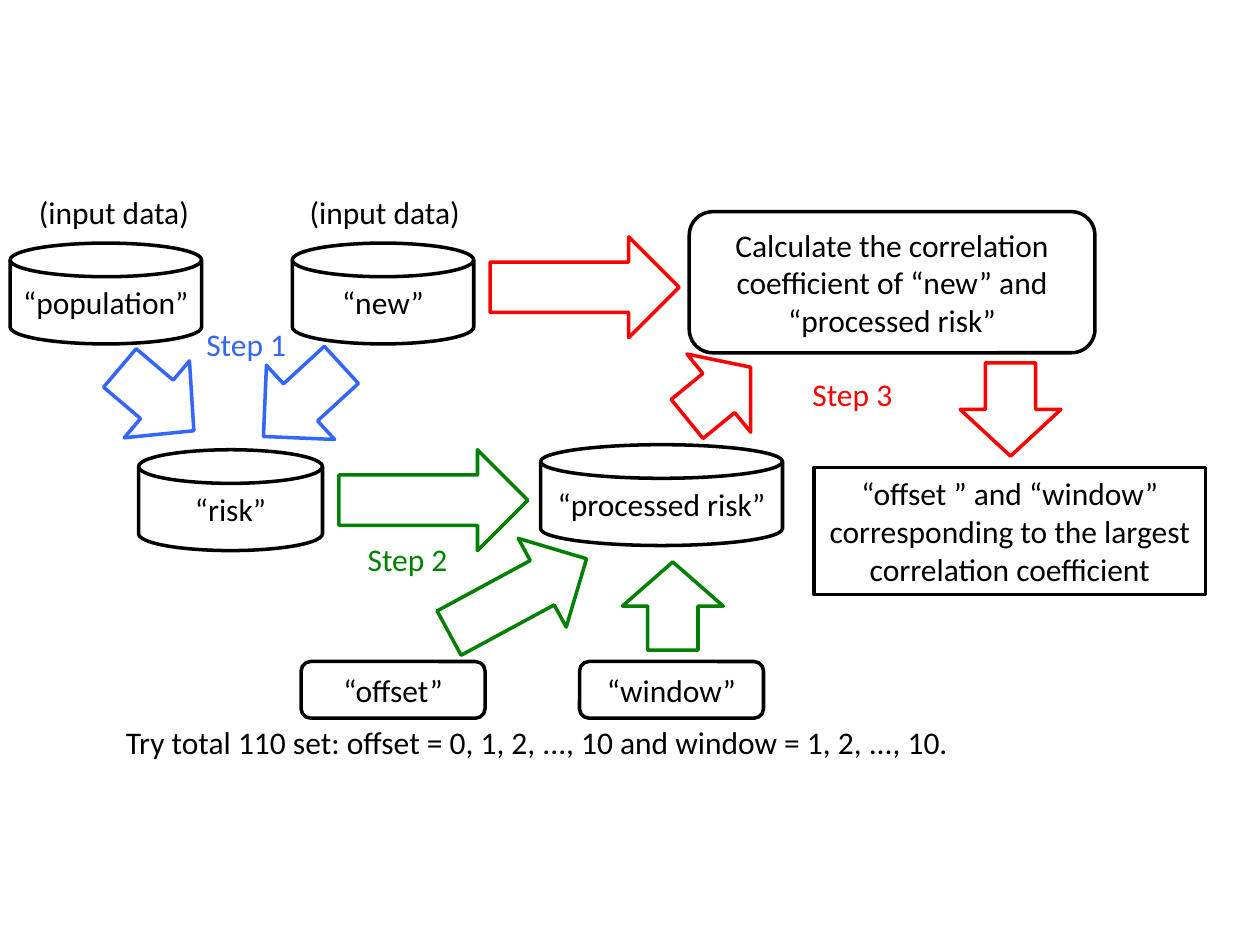
from dataclasses import dataclass

from pptx import Presentation
from pptx.dml.color import RGBColor
from pptx.enum import shapes, text
from pptx.util import Inches, Pt


@dataclass(frozen=True)
class Theme:
    font: str = "Calibri"
    size: int = 18
    line: int = 2
    black: str = "000000"
    white: str = "FFFFFF"
    blue: str = "3366FF"
    green: str = "008000"
    red: str = "FF0000"


THEME = Theme()
KIND = shapes.MSO_SHAPE
ALIGN = text.PP_ALIGN
DISK = KIND.FLOWCHART_MAGNETIC_DISK
DEPTH = 0.8  # shared by disk heights and arrow widths


def write(sp, words, color, align):
    tf = sp.text_frame
    tf.word_wrap = True
    p = tf.paragraphs[0]
    p.alignment = align
    r = p.add_run()
    r.text = words
    r.font.name = THEME.font
    r.font.size = Pt(THEME.size)
    r.font.color.rgb = RGBColor.from_string(color)


def add_outline(s, kind, x, y, w, h, color):
    sp = s.shapes.add_shape(kind, Inches(x), Inches(y), Inches(w), Inches(h))
    sp.shadow.inherit = False
    sp.fill.solid()
    sp.fill.fore_color.rgb = RGBColor.from_string(THEME.white)
    sp.line.color.rgb = RGBColor.from_string(color)
    sp.line.width = Pt(THEME.line)
    return sp


def add_node(s, kind, x, y, w, h, words):
    sp = add_outline(s, kind, x, y, w, h, THEME.black)
    sp.text_frame.vertical_anchor = text.MSO_ANCHOR.MIDDLE
    write(sp, words, THEME.black, ALIGN.CENTER)


def add_arrow(s, x, y, length, color, angle=0):
    """Place a block arrow by its unrotated box, then turn it clockwise."""
    sp = add_outline(s, KIND.RIGHT_ARROW, x, y, length, DEPTH, color)
    sp.rotation = angle


def add_label(s, x, y, w, words, color=THEME.black, align=ALIGN.LEFT):
    sp = s.shapes.add_textbox(Inches(x), Inches(y), Inches(w), Inches(0.4))
    write(sp, words, color, align)


def add_step(s, x, y, number, color):
    add_label(s, x, y, 0.97, f"Step {number}", color, ALIGN.CENTER)


def add_risk_step(s, x, y):
    """Two input stores flow into the risk store."""
    add_arrow(s, x + 0.78, y + 1.29, 0.77, THEME.blue, 40.3)
    add_arrow(s, x + 1.9, y + 1.3, 0.84, THEME.blue, 137.4)
    for dx, w, name in ((0, 1.52, "“population”"), (2.24, 1.44, "“new”")):
        add_node(s, DISK, x + dx, y + 0.45, w, DEPTH, name)
    for dx in (0.13, 2.28):
        add_label(s, x + dx, y, 1.5, "(input data)")
    add_node(s, DISK, x + 1.02, y + 2.09, 1.46, DEPTH, "“risk”")
    add_step(s, x + 1.39, y + 1.05, 1, THEME.blue)


def add_processing_step(s, x, y):
    """Risk, offset and window flow into the processed risk store."""
    add_arrow(s, x + 0.3, y + 0.04, 1.5, THEME.green)
    add_node(s, DISK, x + 1.9, y, 1.92, DEPTH, "“processed risk”")
    for dx, name in ((0, "“offset”"), (2.21, "“window”")):
        add_node(s, KIND.ROUNDED_RECTANGLE, x + dx, y + 1.72, 1.46, 0.45, name)
    add_arrow(s, x + 1.1, y + 0.8, 1.24, THEME.green, 331.6)
    add_arrow(s, x + 2.6, y + 0.88, 0.7, THEME.green, 270)
    add_step(s, x + 0.36, y + 0.71, 2, THEME.green)
    add_label(s, x - 1.49, y + 2.16, 6.95,
              "Try total 110 set: offset = 0, 1, 2, ..., 10 "
              "and window = 1, 2, ..., 10.")


def add_correlation_step(s, x, y):
    """New and processed risk are correlated to give the best settings."""
    add_node(s, KIND.ROUNDED_RECTANGLE, x + 1.58, y, 3.22, 1.12,
             "Calculate the correlation coefficient of “new” "
             "and “processed risk”")
    add_arrow(s, x, y + 0.2, 1.5, THEME.red)
    add_arrow(s, x + 1.49, y + 1.04, 0.65, THEME.red, 320.8)
    add_arrow(s, x + 3.76, y + 1.17, 0.74, THEME.red, 90)
    add_node(s, KIND.RECTANGLE, x + 2.57, y + 2.03, 3.11, 1.01,
             "“offset ” and “window” corresponding to the largest "
             "correlation coefficient")
    add_step(s, x + 2.39, y + 1.25, 3, THEME.red)


def main():
    prs = Presentation()
    prs.slide_width, prs.slide_height = Inches(10), Inches(7.5)
    s = prs.slides.add_slide(prs.slide_layouts[6])
    add_risk_step(s, 0.08, 1.48)
    add_processing_step(s, 2.39, 3.53)
    add_correlation_step(s, 3.89, 1.68)
    prs.save("out.pptx")


if __name__ == "__main__":
    main()
